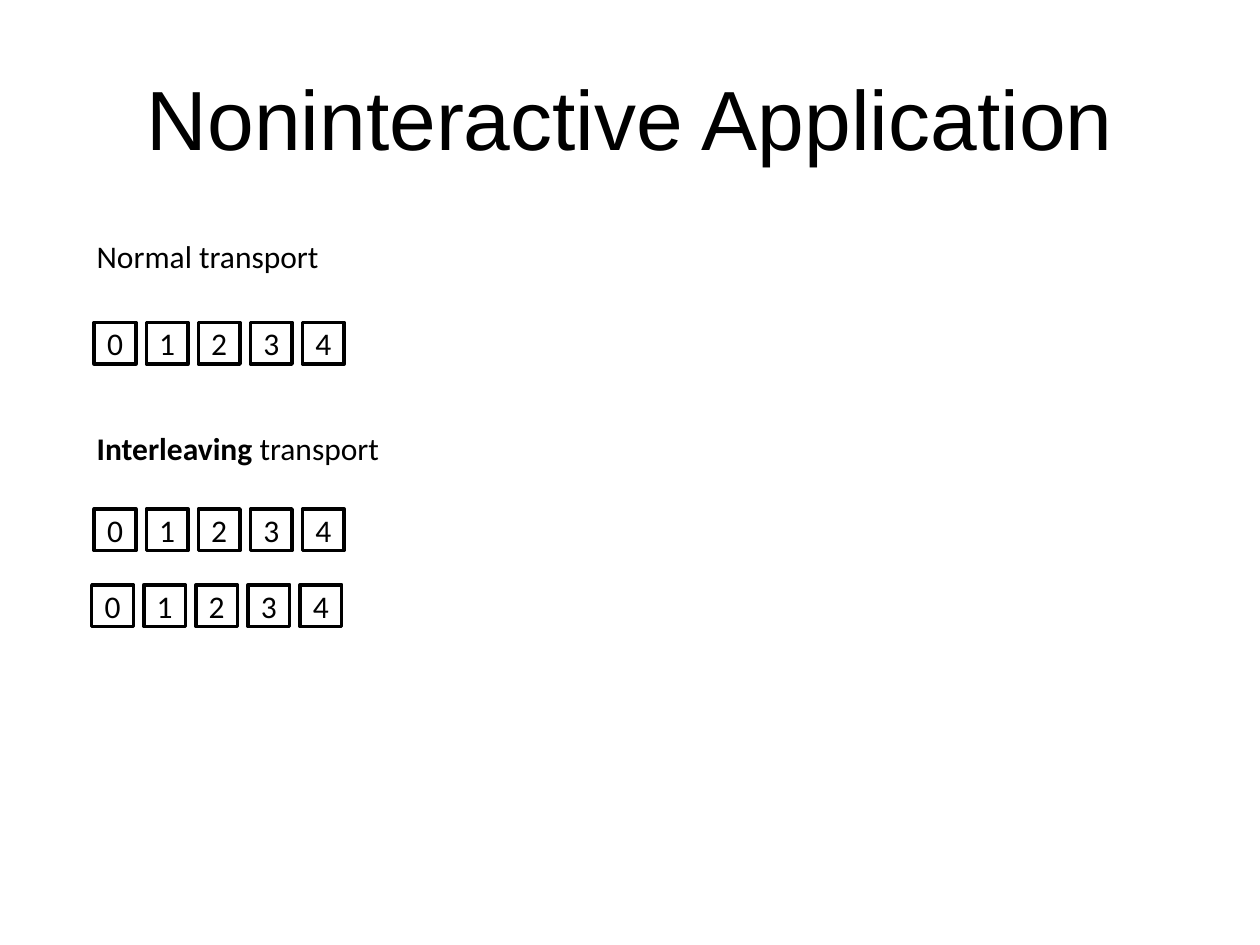
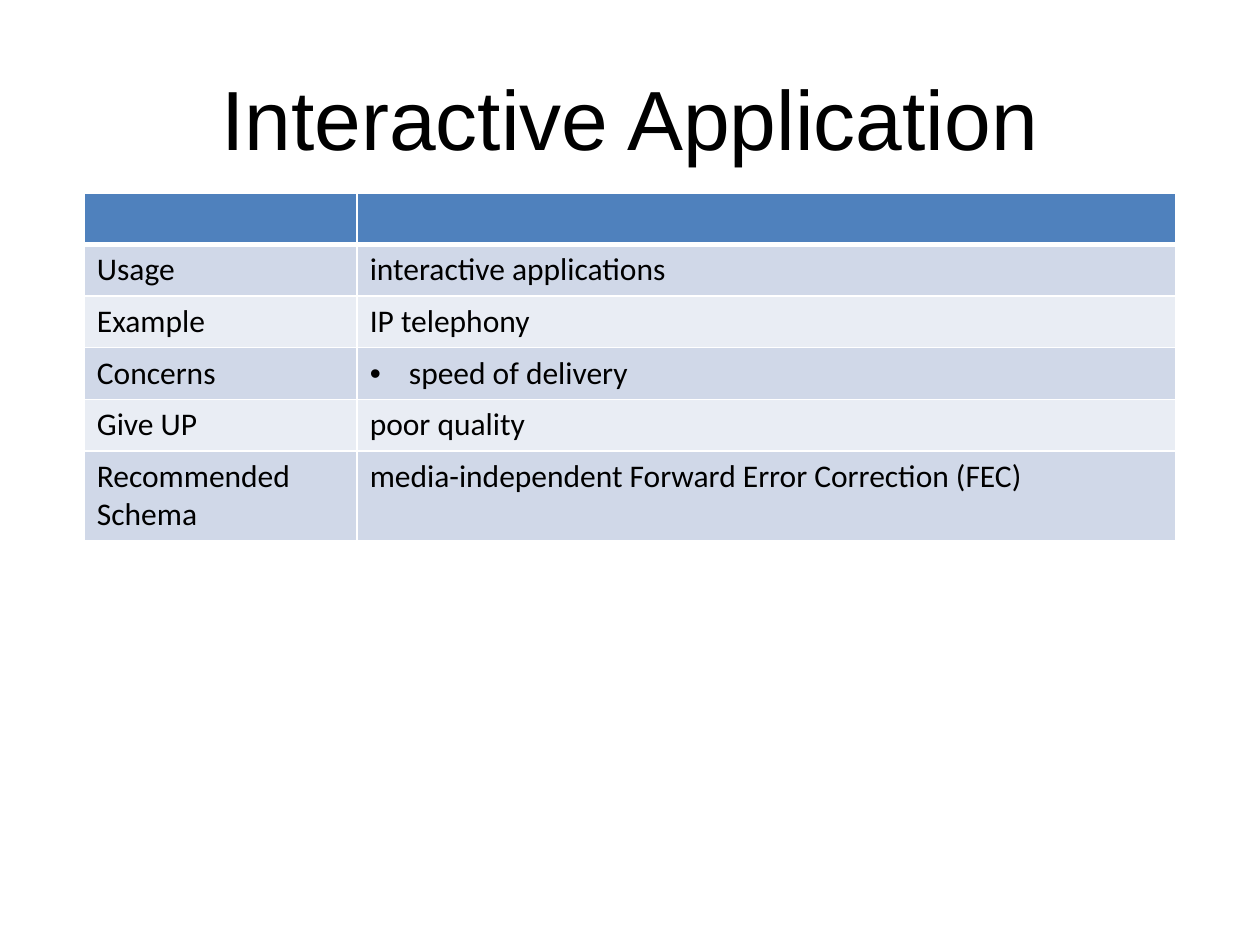
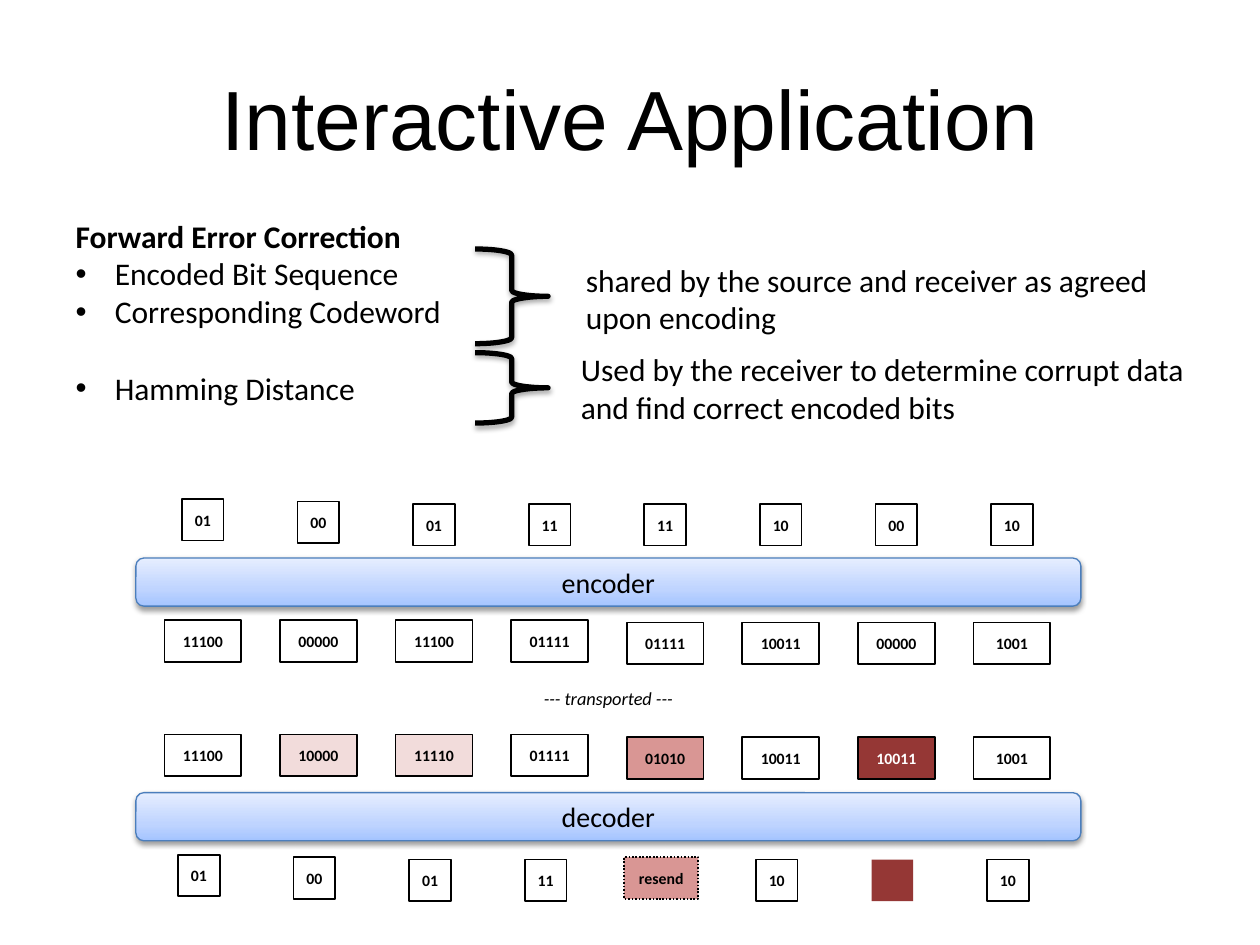
from copy import deepcopy

from lxml import etree
from pptx import Presentation
from pptx.dml.color import RGBColor
from pptx.enum.dml import MSO_LINE
from pptx.enum.shapes import MSO_SHAPE
from pptx.enum.text import MSO_ANCHOR, MSO_AUTO_SIZE, PP_ALIGN
from pptx.oxml.ns import qn
from pptx.util import Cm, Pt

RECT = MSO_SHAPE.RECTANGLE
ROUNDED = MSO_SHAPE.ROUNDED_RECTANGLE
BRACE = MSO_SHAPE.RIGHT_BRACE
CENTER = PP_ALIGN.CENTER
MIDDLE = MSO_ANCHOR.MIDDLE
FIXED = MSO_AUTO_SIZE.NONE
DOTTED = MSO_LINE.ROUND_DOT

COLORS = {
    "ink": "000000", "paper": "FFFFFF",
    "header": "4F81BD", "band": "D0D8E8", "band_alt": "E9EDF4",
    "slight": "F2DCDB", "damaged": "D99694", "lost": "953735",
    "bar_low": "A4C4FF", "bar_mid": "BFD4FF", "bar_high": "E6EEFF", "bar_edge": "4B7EBC",
}
TITLE_FONT = "Arial"
BODY_FONT = "Calibri"
TITLE_ONLY, TITLE_AND_BODY = 5, 1
CELL = 0.84
CODEWORD = 1.55
PITCH = 2.33
FIRST_CENTER = 1.35


def rgb(name):
    return RGBColor.from_string(COLORS[name])


def write(paragraph, text, size=18, font=BODY_FONT, color="ink", bold=False, italic=False, align=None):
    run = paragraph.add_run()
    run.text = text
    run.font.size = Pt(size)
    run.font.name = font
    run.font.bold = bold
    run.font.italic = italic
    run.font.color.rgb = rgb(color)
    if align is not None:
        paragraph.alignment = align


def add_bullet(paragraph):
    properties = paragraph._p.get_or_add_pPr()
    properties.set("marL", str(Cm(0.79)))
    properties.set("indent", str(Cm(-0.79)))
    etree.SubElement(properties, qn("a:buFont")).set("typeface", "Arial")
    etree.SubElement(properties, qn("a:buChar")).set("char", "•")


def add_note(slide, left, top, width, height):
    note = slide.shapes.add_textbox(Cm(left), Cm(top), Cm(width), Cm(height))
    note.text_frame.word_wrap = True
    return note.text_frame.paragraphs[0]


def add_figure(shapes, kind, left, top, width, height, fill=None, line="ink", weight=1):
    figure = shapes.add_shape(kind, Cm(left), Cm(top), Cm(width), Cm(height))
    figure.shadow.inherit = False
    if fill:
        figure.fill.solid()
        figure.fill.fore_color.rgb = rgb(fill)
    else:
        figure.fill.background()
    if line:
        figure.line.color.rgb = rgb(line)
        figure.line.width = Pt(weight)
    else:
        figure.line.fill.background()
    frame = figure.text_frame
    frame.margin_left = frame.margin_right = frame.margin_top = frame.margin_bottom = 0
    frame.vertical_anchor = MIDDLE
    return figure


def add_shadow(figure, opacity):
    effects = figure.element.spPr.find(qn("a:effectLst"))
    shadow = etree.SubElement(effects, qn("a:outerShdw"), blurRad=str(Pt(3.1)),
                              dist=str(Pt(1.7)), dir="5400000", rotWithShape="0")
    color = etree.SubElement(shadow, qn("a:srgbClr"), val=COLORS["ink"])
    etree.SubElement(color, qn("a:alpha"), val=str(opacity * 1000))


def start_slide(deck, title, layout=TITLE_ONLY):
    slide = deck.slides.add_slide(deck.slide_layouts[layout])
    frame = slide.shapes.title.text_frame
    frame.vertical_anchor = MIDDLE
    write(frame.paragraphs[0], title, size=48, font=TITLE_FONT, align=CENTER)
    return slide


def add_packets(slide, left, top):
    group = slide.shapes.add_group_shape()
    for number in range(5):
        packet = add_figure(group.shapes, RECT, left + number * 1.05, top, CELL, CELL,
                            fill="paper", weight=2)
        write(packet.text_frame.paragraphs[0], str(number), align=CENTER)


def build_noninteractive(deck):
    slide = start_slide(deck, "Noninteractive Application")
    write(add_note(slide, 1.7, 4.65, 12.7, 1.02), "Normal transport")
    interleaving = add_note(slide, 1.7, 8.53, 12.7, 1.02)
    write(interleaving, "Interleaving", bold=True)
    write(interleaving, " transport")
    for left, top in ((1.9, 6.5), (1.9, 10.26), (1.85, 11.79)):
        add_packets(slide, left, top)


def set_borders(cell, bottom=1, top=1):
    properties = cell._tc.get_or_add_tcPr()
    for index, (side, weight) in enumerate((("lnL", 1), ("lnR", 1), ("lnT", top), ("lnB", bottom))):
        border = etree.Element(qn(f"a:{side}"), w=str(Pt(weight)))
        paint = etree.SubElement(border, qn("a:solidFill"))
        etree.SubElement(paint, qn("a:srgbClr"), val=COLORS["paper"])
        properties.insert(index, border)


def add_summary(slide, left, top, widths, rows):
    heights = [1.04] * (len(rows) - 1) + [1.73]
    table = slide.shapes.add_table(len(rows), len(widths), Cm(left), Cm(top),
                                   Cm(sum(widths)), Cm(sum(heights))).table
    for column, width in zip(table.columns, widths):
        column.width = Cm(width)
    for r, (entries, height) in enumerate(zip(rows, heights)):
        table.rows[r].height = Cm(height)
        shade = "header" if r == 0 else ("band_alt", "band")[r % 2]
        for c, entry in enumerate(entries):
            cell = table.cell(r, c)
            cell.fill.solid()
            cell.fill.fore_color.rgb = rgb(shade)
            set_borders(cell, bottom=3 if r == 0 else 1, top=3 if r == 1 else 1)
            paragraph = cell.text_frame.paragraphs[0]
            if entry.startswith("•"):
                add_bullet(paragraph)
            if entry:
                write(paragraph, entry.removeprefix("•"))


def build_interactive_summary(deck):
    slide = start_slide(deck, "Interactive Application")
    add_summary(slide, 1.7, 3.89, (5.5, 16.51), (
        ("", ""),
        ("Usage", "interactive applications"),
        ("Example", "IP telephony"),
        ("Concerns", "•speed of delivery"),
        ("Give UP", "poor quality"),
        ("Recommended Schema", "media-independent Forward Error Correction (FEC)"),
    ))


def fill_concepts(slide, left, top, width, height):
    body = slide.placeholders[1]
    body.left, body.top, body.width, body.height = Cm(left), Cm(top), Cm(width), Cm(height)
    frame = body.text_frame
    frame.auto_size = FIXED
    heading = frame.paragraphs[0]
    properties = heading._p.get_or_add_pPr()
    properties.set("marL", "0")
    properties.set("indent", "0")
    etree.SubElement(properties, qn("a:buNone"))
    heading.space_before = Pt(0)
    write(heading, "Forward Error Correction", bold=True)
    for concept, gap in (("Encoded Bit Sequence", 0), ("Corresponding Codeword", 0),
                         ("Hamming Distance", 22)):
        paragraph = frame.add_paragraph()
        add_bullet(paragraph)
        paragraph.space_before = Pt(gap)
        write(paragraph, concept)


def add_explanation(slide, top, height, text, text_left, text_top):
    brace = add_figure(slide.shapes, BRACE, 9.58, top, 1.47, height, weight=3)
    add_shadow(brace, 35)
    write(add_note(slide, text_left, text_top, 12.7, 1.8), text)


def add_coder(slide, left, top, label):
    bar = add_figure(slide.shapes, ROUNDED, left, top, 19.05, 0.97, line="bar_edge", weight=0.75)
    bar.fill.gradient()
    bar.fill.gradient_angle = 90
    stops = bar.element.spPr.find(qn("a:gradFill")).find(qn("a:gsLst"))
    stops.insert(1, deepcopy(stops[0]))
    ramp = ((0, "bar_low"), (0.35, "bar_mid"), (1, "bar_high"))
    for stop, (position, color) in zip(bar.fill.gradient_stops, ramp):
        stop.position = position
        stop.color.rgb = rgb(color)
    add_shadow(bar, 38)
    write(bar.text_frame.paragraphs[0], label, size=16, align=CENTER)


def add_bits(slide, left, top, width, bits, drops, states=None):
    group = slide.shapes.add_group_shape()
    states = states or {}
    for index, (bit, drop) in enumerate(zip(bits, drops)):
        state = states.get(index, "paper")
        resend = bit == "resend"
        span = 1.5 if resend else width
        center = left + FIRST_CENTER + index * PITCH
        box = add_figure(group.shapes, RECT, center - span / 2, top + drop, span, CELL,
                         fill=state, line="ink" if bit else None)
        if resend:
            box.line.dash_style = DOTTED
        if bit:
            write(box.text_frame.paragraphs[0], bit, size=9, bold=True, align=CENTER,
                  color="paper" if state == "lost" else "ink")


def add_transmission(slide, left, top):
    stepped = (0, 0.05, 0.1, 0.1, 0.1, 0.1, 0.1, 0.1)
    halved = (0,) * 4 + (0.05,) * 4
    add_bits(slide, left, top, CELL, ("01", "00", "01", "11", "11", "10", "00", "10"), stepped)
    add_coder(slide, left, top + 1.19, "encoder")
    add_bits(slide, left, top + 2.44, CODEWORD,
             ("11100", "00000", "11100", "01111", "01111", "10011", "00000", "1001"), halved)
    write(add_note(slide, left, top + 3.66, 19.05, 0.74), "--- transported ---",
          size=10.5, italic=True, align=CENTER)
    add_bits(slide, left, top + 4.75, CODEWORD,
             ("11100", "10000", "11110", "01111", "01010", "10011", "10011", "1001"), halved,
             {1: "slight", 2: "slight", 4: "damaged", 6: "lost"})
    add_coder(slide, left, top + 5.92, "decoder")
    add_bits(slide, left - 0.08, top + 7.17, CELL,
             ("01", "00", "01", "11", "resend", "10", "", "10"),
             (0, 0.05, 0.1, 0.1, 0.05, 0.1, 0.1, 0.1), {4: "damaged", 6: "lost"})


def build_error_correction(deck):
    slide = start_slide(deck, "Interactive Application", TITLE_AND_BODY)
    fill_concepts(slide, 1.27, 4.24, 19.56, 4.11)
    add_explanation(slide, 5.02, 1.91, "shared by the source and receiver as agreed upon encoding",
                    11.56, 5.13)
    add_explanation(slide, 7.11, 1.42, "Used by the receiver to determine corrupt data "
                    "and find correct encoded bits", 11.46, 6.93)
    add_transmission(slide, 2.74, 10.06)


def main():
    deck = Presentation()
    deck.slide_width, deck.slide_height = Cm(25.4), Cm(19.05)
    build_noninteractive(deck)
    build_interactive_summary(deck)
    build_error_correction(deck)
    deck.save("out.pptx")


if __name__ == "__main__":
    main()
